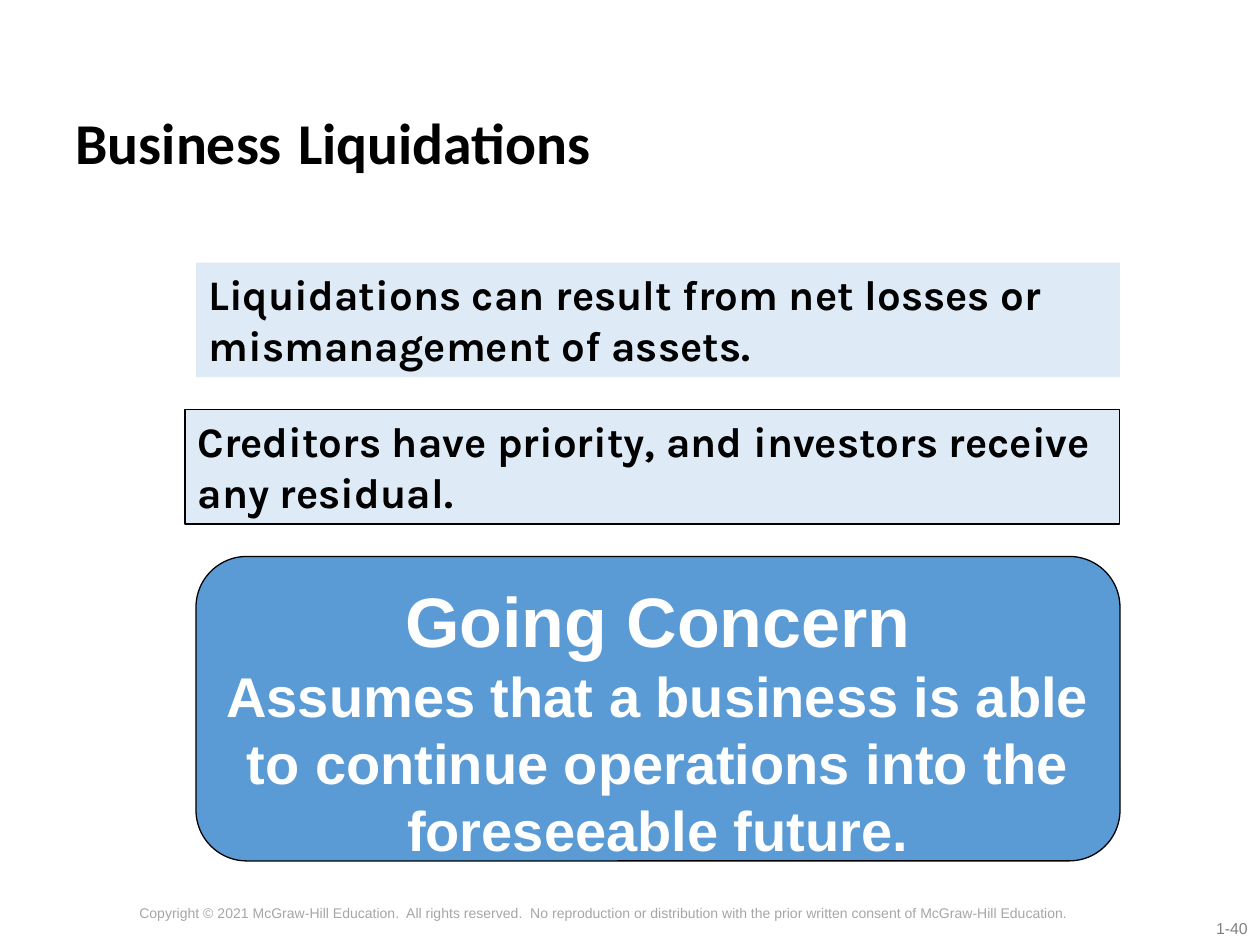
from dataclasses import dataclass

from pptx import Presentation
from pptx.dml.color import RGBColor
from pptx.enum import shapes, text
from pptx.util import Pt


@dataclass(frozen=True)
class Theme:
    ink: str = "000000"
    white: str = "FFFFFF"
    pale: str = "DEEBF7"
    accent: str = "5B9BD5"
    copyright: str = "A6A6A6"
    number: str = "808080"
    title_size: float = 33
    title_gap_size: float = 40
    headline_size: float = 40
    concept_size: float = 32
    point_size: float = 24
    copyright_size: float = 8
    number_size: float = 9
    title_font: str = "Calibri"
    point_font: str = "Karla"
    plain_font: str = "Arial"


THEME = Theme()
ALIGN = text.PP_ALIGN


def add_span(para, words, *, size, font=THEME.plain_font, color=THEME.ink, bold=False):
    span = para.add_run()
    span.text = words
    span.font.size = Pt(size)
    span.font.name = font
    span.font.bold = bold
    span.font.color.rgb = RGBColor.from_string(color)


def write(para, words, *, align=ALIGN.LEFT, **style):
    para.alignment = align
    add_span(para, words, **style)


def add_title(page, words):
    title = page.shapes.title
    title.left, title.top, title.width, title.height = Pt(36), Pt(28.8), Pt(634.3), Pt(104.4)
    frame = title.text_frame
    frame.auto_size = text.MSO_AUTO_SIZE.NONE
    frame.vertical_anchor = text.MSO_ANCHOR.MIDDLE
    para = frame.paragraphs[0]
    para.alignment = ALIGN.LEFT
    para.line_spacing = 0.9
    first, last = words.split()
    for part, size in ((first, THEME.title_size), (" ", THEME.title_gap_size), (last, THEME.title_size)):
        add_span(para, part, size=size, font=THEME.title_font, bold=True)


def add_panel(page, kind, left, top, width, height, *, fill, outlined):
    box = page.shapes.add_shape(kind, Pt(left), Pt(top), Pt(width), Pt(height))
    box.shadow.inherit = False
    box.fill.solid()
    box.fill.fore_color.rgb = RGBColor.from_string(fill)
    if outlined:
        box.line.color.rgb = RGBColor.from_string(THEME.ink)
        box.line.width = Pt(0.75)
    else:
        box.line.fill.background()
    frame = box.text_frame
    frame.word_wrap = True
    frame.vertical_anchor = text.MSO_ANCHOR.TOP
    return frame


def add_point(page, words, left, top, width, *, outlined):
    frame = add_panel(page, shapes.MSO_SHAPE.RECTANGLE, left, top, width, 65.5,
                      fill=THEME.pale, outlined=outlined)
    write(frame.paragraphs[0], words, size=THEME.point_size, font=THEME.point_font, bold=True)


def add_concept(page, headline, meaning):
    frame = add_panel(page, shapes.MSO_SHAPE.ROUNDED_RECTANGLE, 112, 318, 528, 174,
                      fill=THEME.accent, outlined=True)
    style = dict(align=ALIGN.CENTER, color=THEME.white, bold=True)
    write(frame.paragraphs[0], headline, size=THEME.headline_size, **style)
    write(frame.add_paragraph(), meaning, size=THEME.concept_size, **style)


def add_footer(page, words, left, top, width, height, **style):
    box = page.shapes.add_textbox(Pt(left), Pt(top), Pt(width), Pt(height))
    box.text_frame.word_wrap = True
    write(box.text_frame.paragraphs[0], words, **style)


def main():
    deck = Presentation()
    deck.slide_width, deck.slide_height = Pt(720), Pt(540)
    page = deck.slides.add_slide(deck.slide_layouts.get_by_name("Title Only"))

    add_footer(page, "1-40", 632.9, 521.3, 87.1, 18, align=ALIGN.RIGHT,
               size=THEME.number_size, color=THEME.number)
    add_footer(page, "Copyright © 2021 McGraw-Hill Education.  All rights reserved.  No reproduction "
               "or distribution with the prior written consent of McGraw-Hill Education.",
               0.4, 513.4, 689.8, 26.6, align=ALIGN.CENTER,
               size=THEME.copyright_size, color=THEME.copyright)
    add_title(page, "Business Liquidations")
    add_point(page, "Creditors have priority, and investors receive any residual.",
              105.8, 234, 534, outlined=True)
    add_concept(page, "Going Concern",
                "Assumes that a business is able to continue operations into the foreseeable future.")
    add_point(page, "Liquidations can result from net losses or mismanagement of assets.",
              112, 150, 528, outlined=False)
    deck.save("out.pptx")


if __name__ == "__main__":
    main()
